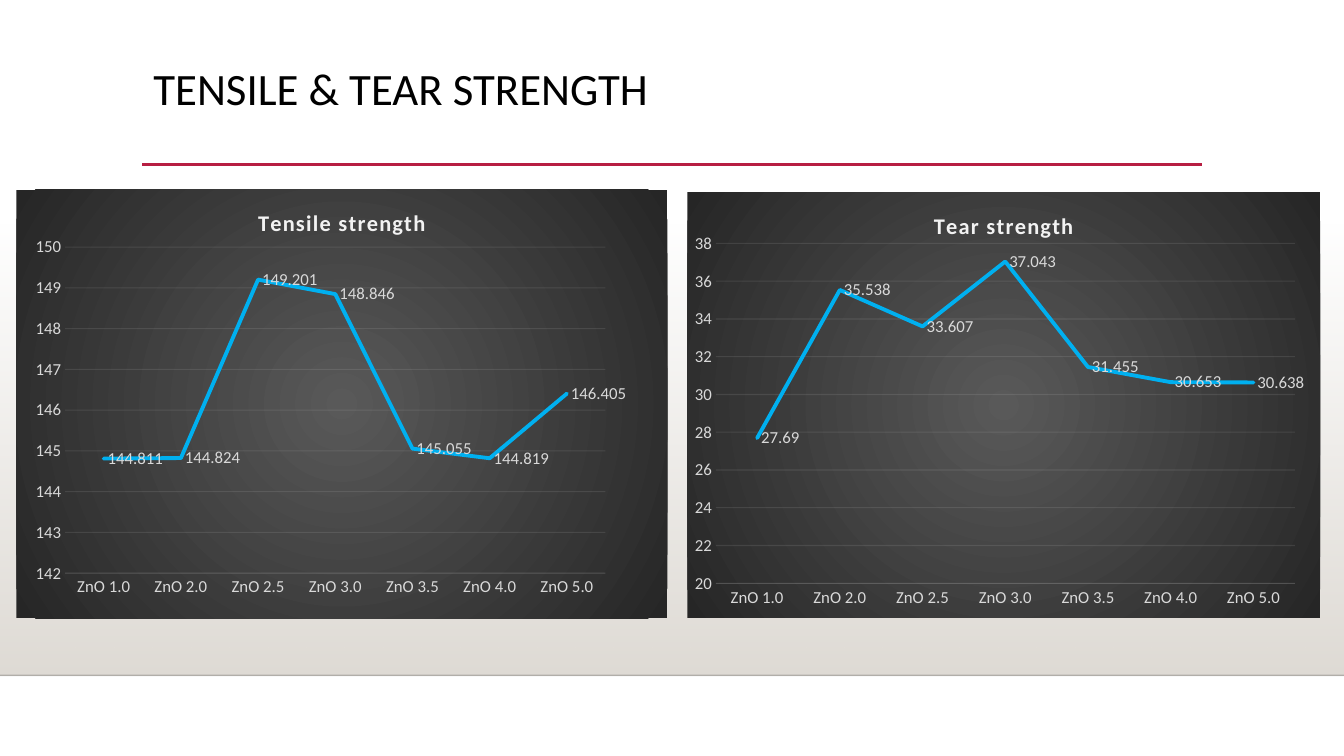
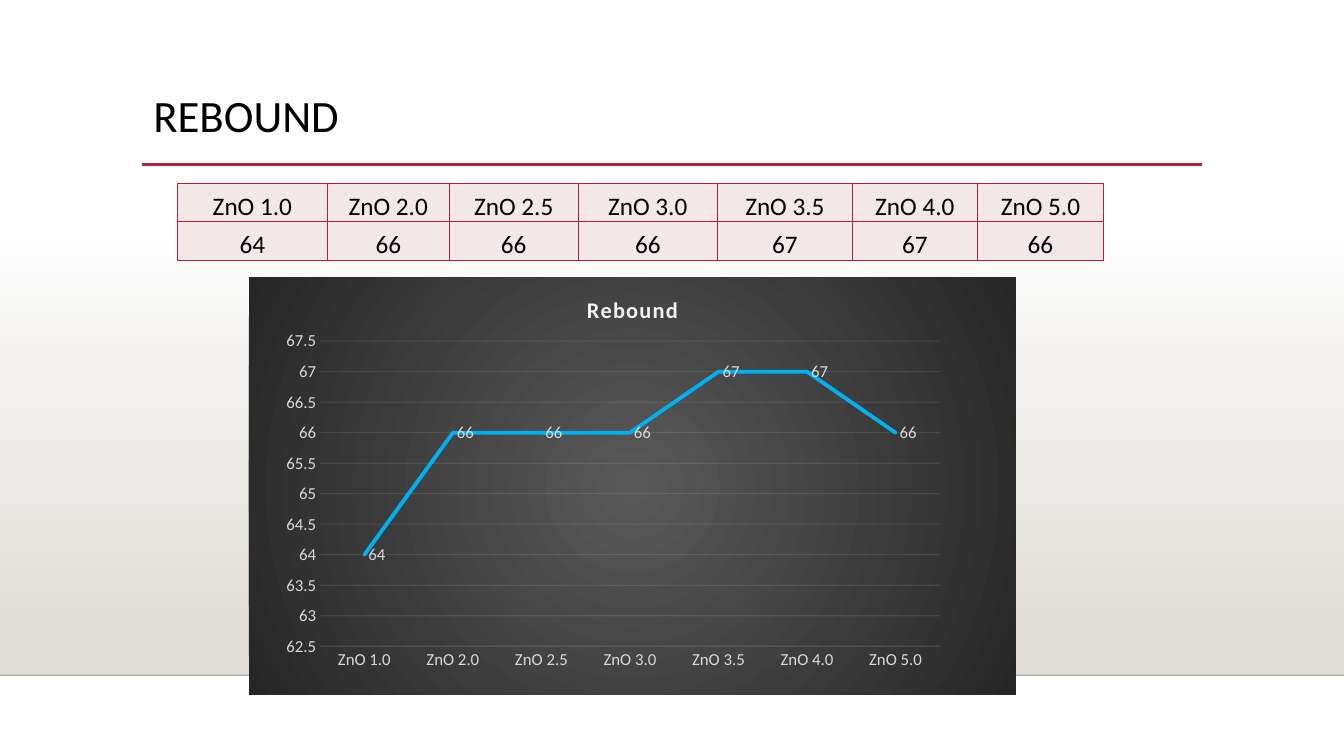
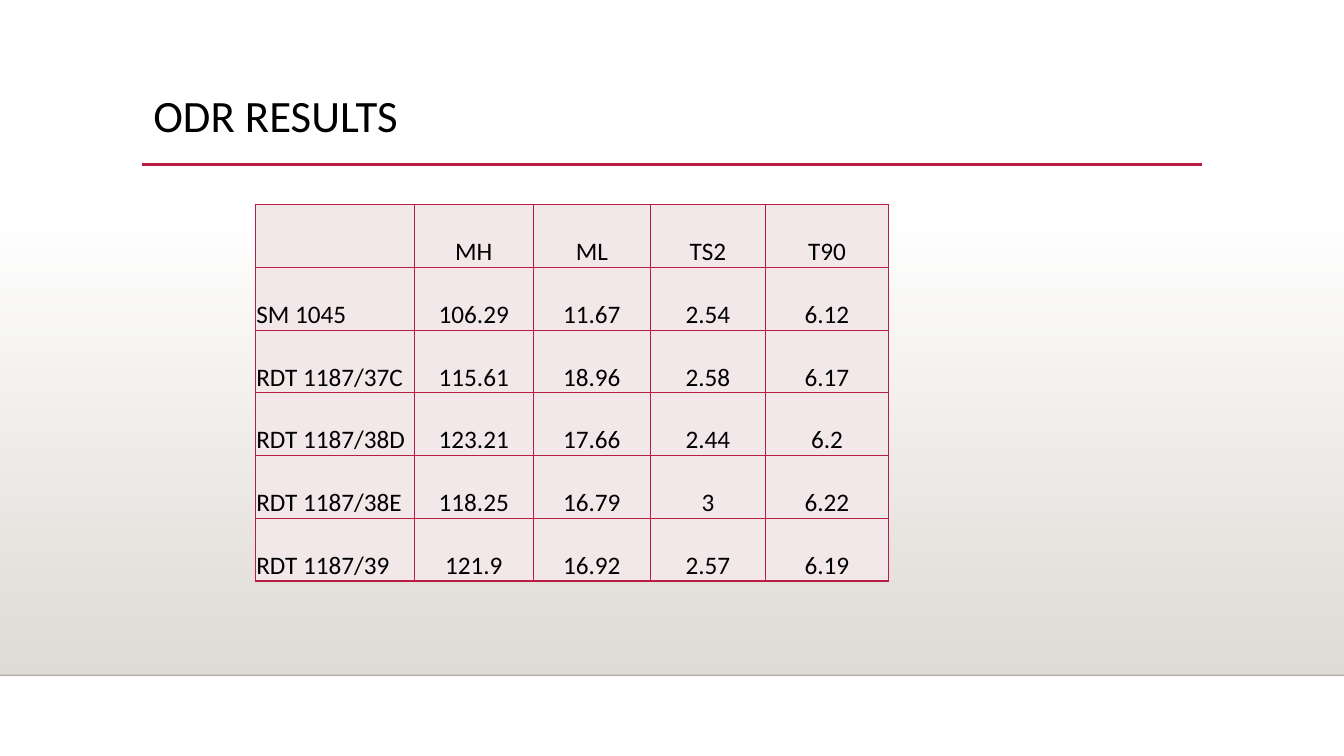
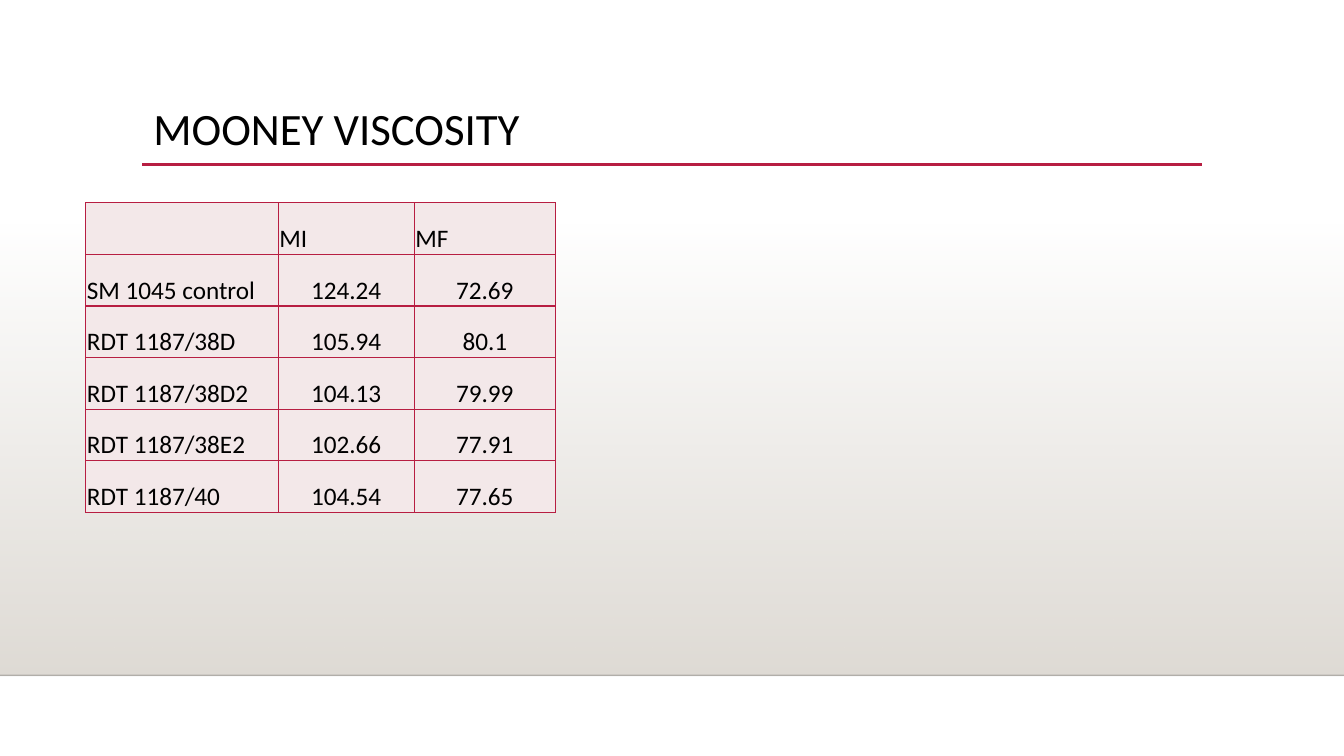
from dataclasses import dataclass
from typing import Optional

import pptx
import pptx.chart.data
import pptx.dml.color
import pptx.enum.chart
import pptx.enum.shapes
import pptx.enum.text
import pptx.oxml
import pptx.oxml.ns
import pptx.util
from lxml import etree

Cm = pptx.util.Cm
Pt = pptx.util.Pt
qn = pptx.oxml.ns.qn
ALIGN = pptx.enum.text.PP_ALIGN
ANCHOR = pptx.enum.text.MSO_ANCHOR

FONT = "Calibri"
COLORS = {
    "text": "000000",
    "band": "DFDBD5",
    "edge": "000001",
    "accent": "B71E42",
    "cell": "F3E8E9",
    "chart_center": "595959",
    "chart_rim": "262626",
    "chart_title": "F2F2F2",
    "chart_text": "D9D9D9",
    "grid": "F2F2F2",
    "series": "00B0F0",
}
SLIDE_W, SLIDE_H = 33.87, 19.05
BAND_TOP, BAND_BOTTOM = 5.61, 17.02
COMPOUNDS = [f"ZnO {dose}" for dose in ("1.0", "2.0", "2.5", "3.0", "3.5", "4.0", "5.0")]


@dataclass
class LineChart:
    """A one-series chart; lengths in cm, plot as fractions of the chart."""
    title: str
    box: tuple[float, float, float, float]
    plot: tuple[float, float, float, float]
    values: list[float]
    minimum: Optional[float] = None


@dataclass
class Grid:
    """A table of results; lengths in cm."""
    left: float
    top: float
    widths: list[float]
    row_height: float
    rows: list[list[str]]
    left_column: bool = True
    left_header: bool = False


@dataclass
class Page:
    """A slide: its title, the top of the title in cm, and its contents."""
    title: str
    title_top: float
    items: list


def rgb(name: str) -> pptx.dml.color.RGBColor:
    """Return a named colour."""
    return pptx.dml.color.RGBColor.from_string(COLORS[name])


def set_alpha(color_parent, percent: int) -> None:
    """Make the first colour inside an element partly transparent."""
    color = next(color_parent.iter(qn("a:srgbClr")))
    etree.SubElement(color, qn("a:alpha")).set("val", str(percent * 1000))


def style_font(font, size: float, color: str, bold: bool = False) -> None:
    """Set the face, size, colour and weight of a font."""
    font.name, font.size, font.bold = FONT, Pt(size), bold
    font.color.rgb = rgb(color)


def write(tf, text: str, *, size: float, color: str = "text", bold: bool = False,
          align=ALIGN.LEFT, spacing: Optional[float] = None, tracking: int = 0) -> None:
    """Write one formatted paragraph into a text frame."""
    p = tf.paragraphs[0]
    p.alignment = align
    if spacing:
        p.line_spacing = spacing
    r = p.add_run()
    r.text = text
    style_font(r.font, size, color, bold)
    if tracking:
        r.font._element.set("spc", str(tracking))


def style_line(line, color: str, width: float, alpha: int = 100) -> None:
    """Set the colour, width and opacity of a line."""
    line.color.rgb = rgb(color)
    line.width = Pt(width)
    if alpha < 100:
        set_alpha(line._get_or_add_ln(), alpha)


def add_rule(s, x1: float, x2: float, y: float, color: str, width: float, alpha: int = 100):
    """Add a level line without shadow."""
    rule = s.shapes.add_connector(pptx.enum.shapes.MSO_CONNECTOR.STRAIGHT,
                                  Cm(x1), Cm(y), Cm(x2), Cm(y))
    style_line(rule.line, color, width, alpha)
    etree.SubElement(rule.element.spPr, qn("a:effectLst"))
    return rule


def add_band(s):
    """Add the band that fades in towards the foot of the slide."""
    band = s.shapes.add_shape(pptx.enum.shapes.MSO_SHAPE.RECTANGLE, 0, Cm(BAND_TOP),
                              Cm(SLIDE_W), Cm(BAND_BOTTOM - BAND_TOP))
    band.shadow.inherit = False
    band.line.fill.background()
    band.fill.gradient()
    band.fill.gradient_angle = 270
    for stop in band.fill.gradient_stops:
        stop.color.rgb = rgb("band")
    set_alpha(band.element.spPr, 0)
    return band


def clear_layout(layout) -> None:
    """Keep only the title placeholder of a layout."""
    for ph in list(layout.placeholders):
        if ph.placeholder_format.type != pptx.enum.shapes.PP_PLACEHOLDER.TITLE:
            ph.element.getparent().remove(ph.element)


def furnish_layout(layout, s) -> None:
    """Draw the shared band and rules on a slide and move them to its layout."""
    shared = [
        add_band(s),
        add_rule(s, 0, SLIDE_W, BAND_BOTTOM, "edge", 1, alpha=20),
        add_rule(s, 3.58, 30.28, 4.14, "accent", 2.5),
    ]
    for place, sp in enumerate(shared, start=2):
        layout.shapes.element.insert(place, sp.element)


def set_title(s, text: str, top: float) -> None:
    """Place and fill the title placeholder."""
    sp = s.shapes.title
    sp.left, sp.top, sp.width, sp.height = Cm(3.61), Cm(top), Cm(26.67), Cm(2.92)
    tf = sp.text_frame
    tf.auto_size = pptx.enum.text.MSO_AUTO_SIZE.NONE
    tf.vertical_anchor = ANCHOR.TOP
    write(tf, text, size=32, spacing=0.9)


def fill_chart(chart) -> None:
    """Give a chart its dark radial background."""
    sp_pr = pptx.oxml.parse_xml(
        f'<c:spPr {pptx.oxml.ns.nsdecls("c", "a")}><a:gradFill><a:gsLst>'
        f'<a:gs pos="0"><a:srgbClr val="{COLORS["chart_center"]}"/></a:gs>'
        f'<a:gs pos="100000"><a:srgbClr val="{COLORS["chart_rim"]}"/></a:gs></a:gsLst>'
        '<a:path path="circle"><a:fillToRect l="50000" t="50000" r="50000" b="50000"/></a:path>'
        '</a:gradFill><a:ln><a:noFill/></a:ln></c:spPr>')
    chart.element.find(qn("c:chart")).addnext(sp_pr)


def place_plot(chart, plot: tuple[float, float, float, float]) -> None:
    """Fix the inner plot area at fractions of the chart."""
    area = chart.element.find(".//" + qn("c:plotArea"))
    for old in area.findall(qn("c:layout")):
        area.remove(old)
    layout = etree.Element(qn("c:layout"))
    manual = etree.SubElement(layout, qn("c:manualLayout"))
    settings = [("layoutTarget", "inner"), ("xMode", "edge"), ("yMode", "edge"),
                *zip("xywh", plot)]
    for tag, value in settings:
        etree.SubElement(manual, qn("c:" + tag)).set("val", str(value))
    area.insert(0, layout)


def style_axes(chart, minimum: Optional[float]) -> None:
    """Format both axes and the gridlines."""
    for axis in (chart.category_axis, chart.value_axis):
        axis.major_tick_mark = axis.minor_tick_mark = pptx.enum.chart.XL_TICK_MARK.NONE
        style_font(axis.tick_labels.font, 12, "chart_text")
    chart.category_axis.has_major_gridlines = False
    style_line(chart.category_axis.format.line, "grid", 0.75, alpha=10)
    chart.value_axis.format.line.fill.background()
    chart.value_axis.has_major_gridlines = True
    style_line(chart.value_axis.major_gridlines.format.line, "grid", 0.75, alpha=10)
    if minimum is not None:
        chart.value_axis.minimum_scale = minimum


def add_line_chart(s, spec: LineChart) -> None:
    """Add a dark line chart with a value at each point."""
    data = pptx.chart.data.CategoryChartData()
    data.categories = COMPOUNDS
    data.add_series("Series 1", spec.values)
    chart = s.shapes.add_chart(pptx.enum.chart.XL_CHART_TYPE.LINE,
                               *map(Cm, spec.box), data).chart
    style_font(chart.font, 10, "text")
    chart.has_legend = False
    chart.has_title = True
    write(chart.chart_title.text_frame, spec.title, size=16, color="chart_title",
          bold=True, align=ALIGN.CENTER, tracking=100)
    chart.chart_title.include_in_layout = False
    fill_chart(chart)
    place_plot(chart, spec.plot)
    style_axes(chart, spec.minimum)

    plot = chart.plots[0]
    plot.vary_by_categories = False
    series = plot.series[0]
    series.smooth = False
    series.marker.style = pptx.enum.chart.XL_MARKER_STYLE.NONE
    style_line(series.format.line, "series", 2.75)
    series.format.line._get_or_add_ln().set("cap", "rnd")
    labels = series.data_labels
    labels.show_value = True
    labels.position = pptx.enum.chart.XL_LABEL_POSITION.RIGHT
    style_font(labels.font, 12, "chart_text")


def add_borders(cell) -> None:
    """Draw the four borders of a cell."""
    tc_pr = cell._tc.get_or_add_tcPr()
    for place, side in enumerate(("lnL", "lnR", "lnT", "lnB")):
        tc_pr.insert(place, pptx.oxml.parse_xml(
            f'<a:{side} {pptx.oxml.ns.nsdecls("a")} w="{Pt(1)}"><a:solidFill>'
            f'<a:srgbClr val="{COLORS["accent"]}"/></a:solidFill></a:{side}>'))


def add_grid(s, spec: Grid) -> None:
    """Add a bordered table of results."""
    table = s.shapes.add_table(len(spec.rows), len(spec.widths), Cm(spec.left), Cm(spec.top),
                               Cm(sum(spec.widths)), Cm(spec.row_height * len(spec.rows))).table
    table.first_row = table.horz_banding = False
    for column, width in zip(table.columns, spec.widths):
        column.width = Cm(width)
    for i, row in enumerate(spec.rows):
        table.rows[i].height = Cm(spec.row_height)
        for j, text in enumerate(row):
            cell = table.cell(i, j)
            cell.fill.solid()
            cell.fill.fore_color.rgb = rgb("cell")
            add_borders(cell)
            cell.vertical_anchor = ANCHOR.BOTTOM
            cell.margin_left = cell.margin_right = cell.margin_top = Cm(0.03)
            cell.margin_bottom = 0
            if text:
                is_left = (spec.left_column and j == 0) or (spec.left_header and i == 0)
                write(cell.text_frame, text, size=18,
                      align=ALIGN.LEFT if is_left else ALIGN.CENTER)


REBOUND = [64, 66, 66, 66, 67, 67, 66]

PAGES = [
    Page("TENSILE & TEAR STRENGTH", 1.55, [
        LineChart("Tensile strength", (0.41, 4.78, 16.41, 10.8), (0.075, 0.134, 0.83, 0.761),
                  [144.811, 144.824, 149.201, 148.846, 145.055, 144.819, 146.405]),
        LineChart("Tear strength", (17.32, 4.85, 15.95, 10.72), (0.045, 0.12, 0.915, 0.799),
                  [27.69, 35.538, 33.607, 37.043, 31.455, 30.653, 30.638], minimum=20),
    ]),
    Page("REBOUND", 2.24, [
        LineChart("Rebound", (6.27, 6.99, 19.33, 10.52), (0.093, 0.153, 0.808, 0.731), REBOUND),
        Grid(4.47, 4.62, [3.78, 3.07, 3.25, 3.51, 3.4, 3.15, 3.18], 0.97,
             [COMPOUNDS, [str(value) for value in REBOUND]], left_column=False),
    ]),
    Page("ODR RESULTS", 2.24, [
        Grid(6.43, 5.16, [4.01, 3, 2.95, 2.9, 3.1], 1.58, [
            ["", "MH", "ML", "TS2", "T90"],
            ["SM 1045", "106.29", "11.67", "2.54", "6.12"],
            ["RDT 1187/37C", "115.61", "18.96", "2.58", "6.17"],
            ["RDT 1187/38D", "123.21", "17.66", "2.44", "6.2"],
            ["RDT 1187/38E", "118.25", "16.79", "3", "6.22"],
            ["RDT 1187/39", "121.9", "16.92", "2.57", "6.19"],
        ]),
    ]),
    Page("MOONEY VISCOSITY", 2.57, [
        Grid(2.16, 5.11, [4.85, 3.43, 3.56], 1.3, [
            ["", "MI", "MF"],
            ["SM 1045 control", "124.24", "72.69"],
            ["RDT 1187/38D", "105.94", "80.1"],
            ["RDT 1187/38D2", "104.13", "79.99"],
            ["RDT 1187/38E2", "102.66", "77.91"],
            ["RDT 1187/40", "104.54", "77.65"],
        ], left_header=True),
    ]),
]
DRAW = {LineChart: add_line_chart, Grid: add_grid}


def main() -> None:
    """Build the presentation."""
    prs = pptx.Presentation()
    prs.slide_width, prs.slide_height = Cm(SLIDE_W), Cm(SLIDE_H)
    layout = prs.slide_layouts[5]
    clear_layout(layout)
    for number, page in enumerate(PAGES):
        s = prs.slides.add_slide(layout)
        if number == 0:
            furnish_layout(layout, s)
        set_title(s, page.title, page.title_top)
        for item in page.items:
            DRAW[type(item)](s, item)
    prs.save("out.pptx")


main()
